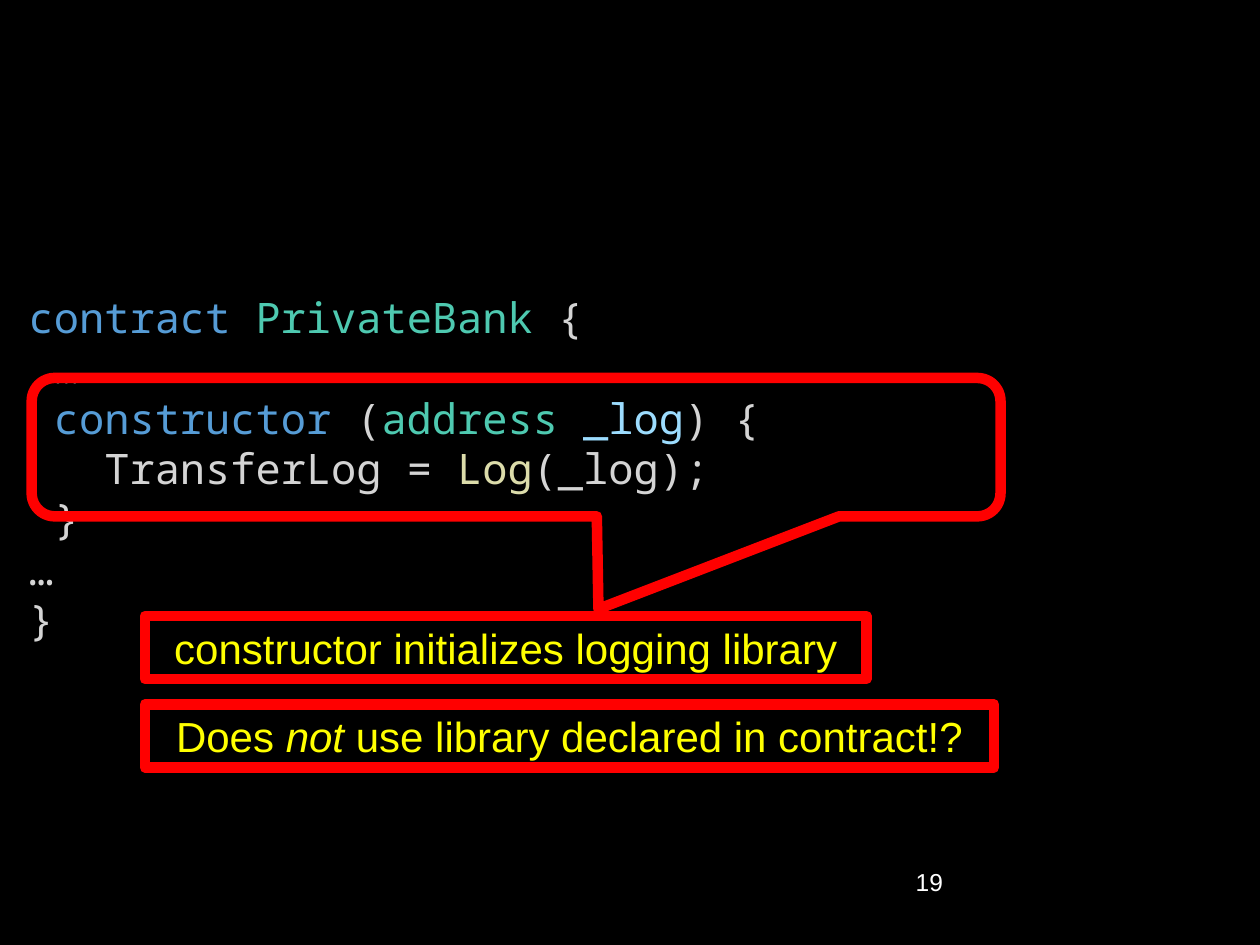
from pptx import Presentation
from pptx.dml.color import RGBColor
from pptx.enum.shapes import MSO_SHAPE as Shape
from pptx.enum.text import MSO_ANCHOR as Anchor, PP_ALIGN as Align
from pptx.util import Cm, Pt

BLACK, WHITE, RED, YELLOW = "000000", "FFFFFF", "FF0000", "FFFF00"
PLAIN, KEYWORD, TYPE = "D4D4D4", "569CD6", "4EC9B0"
PARAMETER, FUNCTION = "9CDCFE", "DCDCAA"

CODE = [
    [("contract", KEYWORD), (" PrivateBank", TYPE), (" {", PLAIN)],
    [(" …", PLAIN)],
    [(" ", PLAIN), ("constructor ", KEYWORD), ("(", PLAIN),
     ("address ", TYPE), ("_log", PARAMETER), (") {", PLAIN)],
    [("   TransferLog = ", PLAIN), ("Log", FUNCTION), ("(_log);", PLAIN)],
    [(" }", PLAIN)],
    [("…", PLAIN)],
    [("}", PLAIN)],
]


def rgb(value):
    """Turn a hex string into a colour."""
    return RGBColor.from_string(value)


def add_run(paragraph, text, color, size=24, font="Arial", italic=False):
    """Append one formatted run to a paragraph."""
    run = paragraph.add_run()
    run.text = text
    run.font.name = font
    run.font.size = Pt(size)
    run.font.italic = italic
    run.font.color.rgb = rgb(color)


def add_panel(slide, kind, left, top, width, height, fill=None, line=None):
    """Add a flat shape, measured in centimetres."""
    panel = slide.shapes.add_shape(kind, Cm(left), Cm(top), Cm(width), Cm(height))
    panel.shadow.inherit = False
    if fill:
        panel.fill.solid()
        panel.fill.fore_color.rgb = rgb(fill)
    else:
        panel.fill.background()
    if line:
        panel.line.color.rgb = rgb(line)
        panel.line.width = Pt(6)
    else:
        panel.line.fill.background()
    return panel


def add_code(slide):
    """Add the contract listing with syntax colours."""
    listing = add_panel(slide, Shape.RECTANGLE, 0.33, 5.61, 24.69, 7.44, BLACK)
    frame = listing.text_frame
    frame.word_wrap = True
    frame.vertical_anchor = Anchor.MIDDLE
    frame.margin_top, frame.margin_bottom = Cm(0.23), Cm(0.03)
    for number, tokens in enumerate(CODE):
        paragraph = frame.add_paragraph() if number else frame.paragraphs[0]
        paragraph.alignment = Align.LEFT
        paragraph.line_spacing = Pt(28.8)
        for text, color in tokens:
            add_run(paragraph, text, color, font="Noto Sans Mono")


def add_page_number(slide, number):
    """Add the page number at the lower right."""
    box = slide.shapes.add_textbox(Cm(18.21), Cm(17.35), Cm(5.28), Cm(1.27))
    box.text_frame.word_wrap = True
    add_run(box.text_frame.paragraphs[0], number, WHITE, size=14)


def add_callout(slide):
    """Frame the constructor and point to its explanation."""
    callout = add_panel(slide, Shape.ROUNDED_RECTANGULAR_CALLOUT,
                        0.64, 7.62, 19.53, 2.79, line=RED)
    for index, value in enumerate((0.085, 1.169, 0.167)):
        callout.adjustments[index] = value


def add_remark(slide, top, width, parts):
    """Add a framed remark made of (text, italic) parts."""
    remark = add_panel(slide, Shape.RECTANGLE, 2.92, top, width, 1.27, BLACK, RED)
    frame = remark.text_frame
    frame.word_wrap = True
    frame.vertical_anchor = Anchor.MIDDLE
    paragraph = frame.paragraphs[0]
    paragraph.alignment = Align.CENTER
    for text, italic in parts:
        add_run(paragraph, text, YELLOW, italic=italic)


def main():
    """Build the slide and save it."""
    deck = Presentation()
    deck.slide_width, deck.slide_height = Cm(25.4), Cm(19.05)
    slide = deck.slides.add_slide(deck.slide_layouts.get_by_name("Blank"))
    slide.background.fill.solid()
    slide.background.fill.fore_color.rgb = rgb(BLACK)
    add_code(slide)
    add_page_number(slide, "19")
    add_callout(slide)
    add_remark(slide, 12.42, 14.55,
               [("constructor initializes logging library", False)])
    add_remark(slide, 14.2, 17.12,
               [("Does ", False), ("not", True),
                (" use library declared in contract!?", False)])
    deck.save("out.pptx")


if __name__ == "__main__":
    main()
